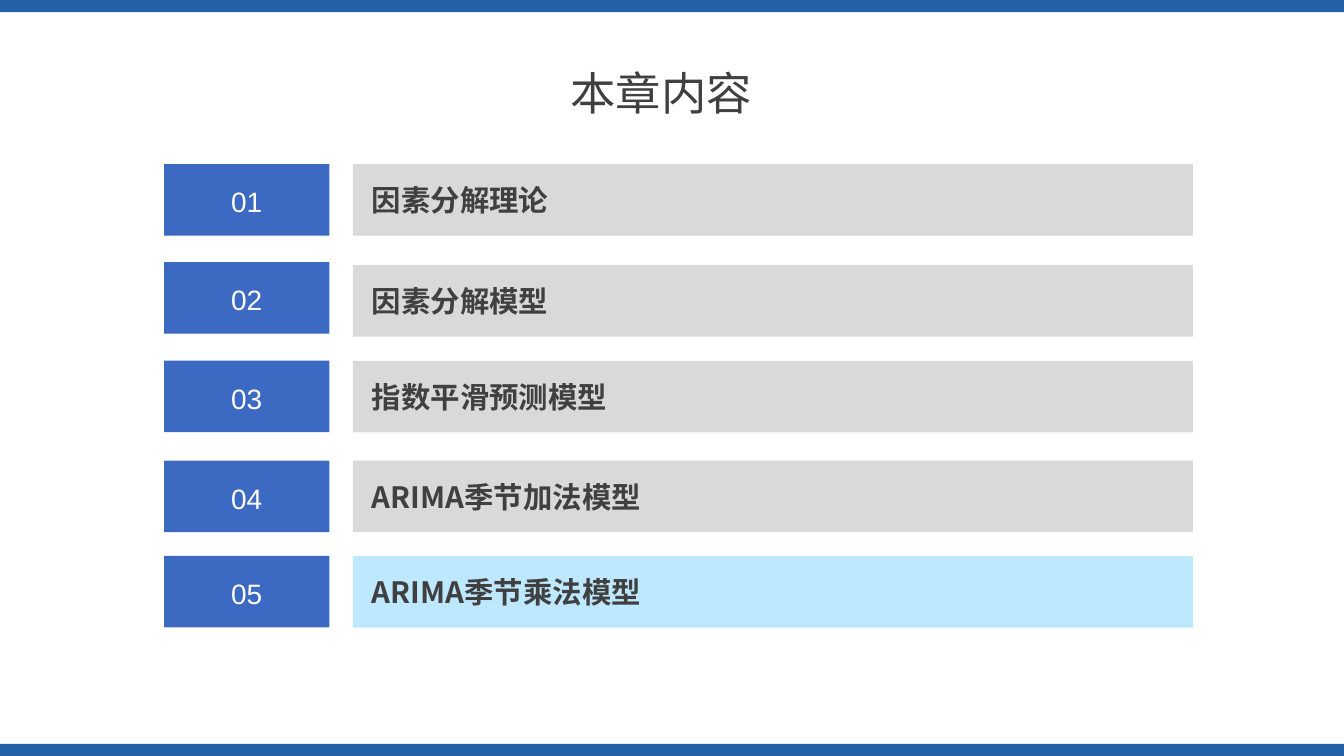
from dataclasses import dataclass

from lxml import etree
from pptx import Presentation
from pptx.dml.color import RGBColor
from pptx.enum.shapes import MSO_SHAPE
from pptx.enum.text import MSO_ANCHOR, MSO_AUTO_SIZE, PP_ALIGN
from pptx.oxml.ns import qn
from pptx.shapes.autoshape import Shape
from pptx.slide import Slide
from pptx.util import Pt

EDGE_BLUE = RGBColor(0x22, 0x61, 0xA6)
NUMBER_BLUE = RGBColor(0x3C, 0x69, 0xC2)
GREY = RGBColor(0xD9, 0xD9, 0xD9)
LIGHT_BLUE = RGBColor(0xBE, 0xE8, 0xFF)
DARK = RGBColor(0x40, 0x40, 0x40)
WHITE = RGBColor(0xFF, 0xFF, 0xFF)

HEAD_FONT = "Noto Sans CJK SC"
NUMBER_FONT = "Arial"

SLIDE_W, SLIDE_H = 960, 540
EDGE_H = 8.64
ROW_H = 51.1
NUMBER_LEFT, NUMBER_W = 117.2, 118
LABEL_LEFT, LABEL_W = 252, 600


@dataclass
class Chapter:
    label: str
    number_top: float
    label_top: float
    fill: RGBColor = GREY


CHAPTERS = [
    Chapter("因素分解理论", 117.2, 117.2),
    Chapter("因素分解模型", 187.2, 189.4),
    Chapter("指数平滑预测模型", 257.6, 257.8),
    Chapter("ARIMA季节加法模型", 329, 329),
    Chapter("ARIMA季节乘法模型", 397, 397.2, LIGHT_BLUE),
]


def add_bar(s: Slide, left: float, top: float, width: float, height: float,
            fill: RGBColor) -> Shape:
    sp = s.shapes.add_shape(MSO_SHAPE.RECTANGLE, Pt(left), Pt(top), Pt(width), Pt(height))
    sp.shadow.inherit = False
    sp.fill.solid()
    sp.fill.fore_color.rgb = fill
    sp.line.fill.background()
    return sp


def write(sp: Shape, text: str, font: str, size: float, color: RGBColor,
          bold: bool = False, align: PP_ALIGN = PP_ALIGN.LEFT) -> None:
    tf = sp.text_frame
    tf.text = text
    tf.word_wrap = True
    tf.auto_size = MSO_AUTO_SIZE.NONE
    tf.vertical_anchor = MSO_ANCHOR.MIDDLE
    p = tf.paragraphs[0]
    p.alignment = align
    r = p.runs[0]
    r.font.size = Pt(size)
    r.font.bold = bold
    r.font.color.rgb = color
    r.font.name = font
    # East Asian characters take their own font element
    etree.SubElement(r.font._element, qn("a:ea"), typeface=font)


def add_chapter(s: Slide, number: int, chapter: Chapter) -> None:
    box = add_bar(s, NUMBER_LEFT, chapter.number_top, NUMBER_W, ROW_H, NUMBER_BLUE)
    write(box, f"{number:02d}", NUMBER_FONT, 20, WHITE, align=PP_ALIGN.CENTER)
    box.text_frame.margin_top = Pt(6)

    bar = add_bar(s, LABEL_LEFT, chapter.label_top, LABEL_W, ROW_H, chapter.fill)
    write(bar, chapter.label, HEAD_FONT, 21, DARK, bold=True)
    bar.text_frame.margin_left = Pt(13.7)


def main() -> None:
    prs = Presentation()
    prs.slide_width, prs.slide_height = Pt(SLIDE_W), Pt(SLIDE_H)
    s = prs.slides.add_slide(prs.slide_layouts[5])

    # Edge bands
    for top in (0, SLIDE_H - EDGE_H):
        add_bar(s, 0, top, SLIDE_W, EDGE_H, EDGE_BLUE)

    # Title
    title = s.shapes.title
    title.left, title.top = Pt(400.3), Pt(40.3)
    title.width, title.height = Pt(160), Pt(51.1)
    write(title, "本章内容", HEAD_FONT, 32.4, DARK)

    # Chapter list
    for number, chapter in enumerate(CHAPTERS, start=1):
        add_chapter(s, number, chapter)

    prs.save("out.pptx")


if __name__ == "__main__":
    main()
